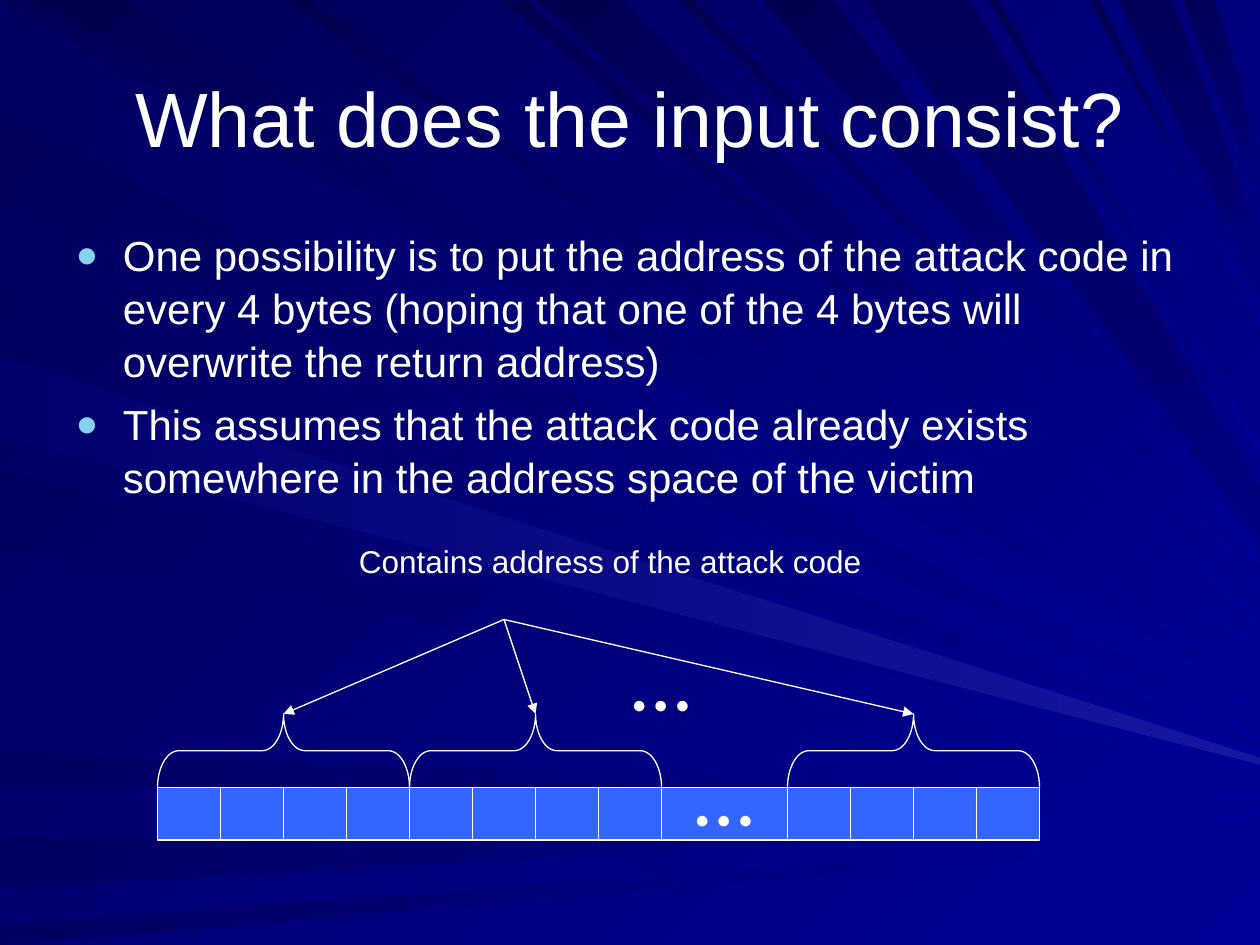
from lxml.etree import SubElement
from pptx import Presentation
from pptx.dml.color import RGBColor
from pptx.enum.shapes import MSO_CONNECTOR, MSO_SHAPE
from pptx.enum.text import MSO_ANCHOR, MSO_AUTO_SIZE, PP_ALIGN
from pptx.oxml.ns import qn
from pptx.util import Pt


class Theme:
    font = "Arial"
    white = RGBColor.from_string("FFFFFF")
    cell = RGBColor.from_string("3366FF")
    bullet = "86D1EC"
    background = ("000099", "000057")
    flat_ray = ("000099", "000060")
    slanted_ray = ("000099", "000050")
    steep_ray = ("000059", "000080")
    bright_ray = ("1616A1", "00006E")
    title_size = 44
    body_size = 24
    caption_size = 18
    dots_size = 14
    line_width = 0.75


def paint_gradient(fill, colors, angle):
    """Fill with two colours at a clockwise angle."""
    fill.gradient()
    fill.gradient_angle = 360 - angle
    for stop, color in zip(fill.gradient_stops, colors):
        stop.color.rgb = RGBColor.from_string(color)


def write(shape, *paragraphs, box, size, align=PP_ALIGN.LEFT, anchor=MSO_ANCHOR.TOP,
          bullet=None, space_before=0, line_spacing=None):
    """Place the shape at box and give it one formatted paragraph per text."""
    shape.left, shape.top, shape.width, shape.height = map(Pt, box)
    frame = shape.text_frame
    frame.text = "\n".join(paragraphs)
    frame.word_wrap = True
    frame.auto_size = MSO_AUTO_SIZE.NONE
    frame.vertical_anchor = anchor
    for index, paragraph in enumerate(frame.paragraphs):
        if bullet:
            properties = paragraph._p.get_or_add_pPr()
            properties.set("marL", str(Pt(27)))
            properties.set("indent", str(Pt(-27)))
            color = SubElement(properties, qn("a:buClr"))
            SubElement(color, qn("a:srgbClr"), val=Theme.bullet)
            SubElement(properties, qn("a:buSzPct"), val="90000")
            SubElement(properties, qn("a:buFont"), typeface=Theme.font)
            SubElement(properties, qn("a:buChar"), char=bullet)
        paragraph.alignment = align
        paragraph.space_before = Pt(space_before if index else 0)
        paragraph.line_spacing = line_spacing
        paragraph.font.name = Theme.font
        paragraph.font.size = Pt(size)
        paragraph.font.color.rgb = Theme.white


slide_width, slide_height = 720, 540
presentation = Presentation()
presentation.slide_width, presentation.slide_height = Pt(slide_width), Pt(slide_height)
slide = presentation.slides.add_slide(presentation.slide_layouts[1])
shapes = slide.shapes

# Background rays run from a stretch of the left or top edge to a tip on the right edge.
# Each ray: start and end of the stretch, height of the tip.
paint_gradient(slide.background.fill, Theme.background, 225)
ray_groups = [
    ("left", Theme.flat_ray, 180, 4,
     [(1, 67, 410), (429, 449, 455), (479, 507, 466), (529, 540, 477), (115, 164, 421)]),
    ("top", Theme.slanted_ray, 225, 4,
     [(19, 73, 405), (287, 300, 373), (307, 354, 355), (389, 397, 333), (436, 476, 321)]),
    ("top", Theme.steep_ray, 90, 30, [(639, 670, 151), (676, 694, 101), (494, 554, 294)]),
    ("left", Theme.flat_ray, 225, 4, [(200, 246, 431), (269, 315, 436)]),
    ("top", Theme.slanted_ray, 225, 4, [(162, 178, 396), (565, 570, 257), (623, 628, 183)]),
    ("left", Theme.bright_ray, 180, 4, [(204, 250, 435)]),
]
rays = shapes.add_group_shape()
for edge, colors, angle, tip_height, stretches in ray_groups:
    for start, end, tip in stretches:
        near, far = [(0, start), (0, end)] if edge == "left" else [(end, 0), (start, 0)]
        lower_tip = (slide_width, tip + tip_height / 2)
        upper_tip = (slide_width, tip - tip_height / 2)
        first, *rest = [(Pt(x), Pt(y)) for x, y in (near, far, lower_tip, upper_tip)]
        outline = rays.shapes.build_freeform(*first)
        outline.add_line_segments(rest, close=True)
        ray = outline.convert_to_shape()
        ray.shadow.inherit = False
        ray.line.fill.background()
        paint_gradient(ray.fill, colors, angle)
shapes.element.insert(2, rays.element)

write(shapes.title, "What does the input consist?", box=(36, 21.6, 648, 90),
      size=Theme.title_size, align=PP_ALIGN.CENTER, anchor=MSO_ANCHOR.MIDDLE)
write(slide.placeholders[1],
      "One possibility is to put the address of the attack code in every 4 bytes "
      "(hoping that one of the 4 bytes will overwrite the return address)",
      "This assumes that the attack code already exists somewhere in the address "
      "space of the victim",
      box=(36, 126, 648, 356.4), size=Theme.body_size, bullet="●",
      space_before=6, line_spacing=1.05)

# Input buffer: 4-byte words, with a double-width gap for the omitted ones
buffer_left, buffer_top, byte_width, byte_height = 90, 450, 36, 30
word_width = 4 * byte_width
gap_left = buffer_left + 2 * word_width
word_lefts = [buffer_left, buffer_left + word_width, gap_left + 2 * byte_width]
cells = [(left + i * byte_width, byte_width) for left in word_lefts for i in range(4)]
cells.append((gap_left, 2 * byte_width))
for left, width in cells:
    cell = shapes.add_shape(MSO_SHAPE.RECTANGLE, Pt(left), Pt(buffer_top), Pt(width), Pt(byte_height))
    cell.shadow.inherit = False
    cell.fill.solid()
    cell.fill.fore_color.rgb = Theme.cell
    cell.line.color.rgb = Theme.white
    cell.line.width = Pt(Theme.line_width)

# A brace over each word, and an arrow from the caption to its tip
brace_height = 42
brace_top = buffer_top - brace_height
for left in word_lefts:
    middle = left + word_width / 2
    brace = shapes.add_shape(
        MSO_SHAPE.LEFT_BRACE, Pt(middle - brace_height / 2),
        Pt(brace_top + (brace_height - word_width) / 2), Pt(brace_height), Pt(word_width))
    brace.rotation = 90
    brace.adjustments[0] = 0.29
    brace.shadow.inherit = False
    brace.fill.background()
    arrow = shapes.add_connector(MSO_CONNECTOR.STRAIGHT, Pt(288), Pt(354), Pt(middle), Pt(brace_top))
    SubElement(arrow.element.spPr, qn("a:effectLst"))
    for stroke in (brace.line, arrow.line):
        stroke.color.rgb = Theme.white
        stroke.width = Pt(Theme.line_width)
    SubElement(arrow.line._get_or_add_ln(), qn("a:tailEnd"), type="triangle")

for text, box, size in [
    ("● ● ●", (390, 456, 66, 24.5), Theme.dots_size),
    ("● ● ●", (354, 390, 66, 24.5), Theme.dots_size),
    ("Contains address of the attack code", (198, 306, 312, 29), Theme.caption_size),
]:
    write(shapes.add_textbox(0, 0, 0, 0), text, box=box, size=size)

presentation.save("out.pptx")
